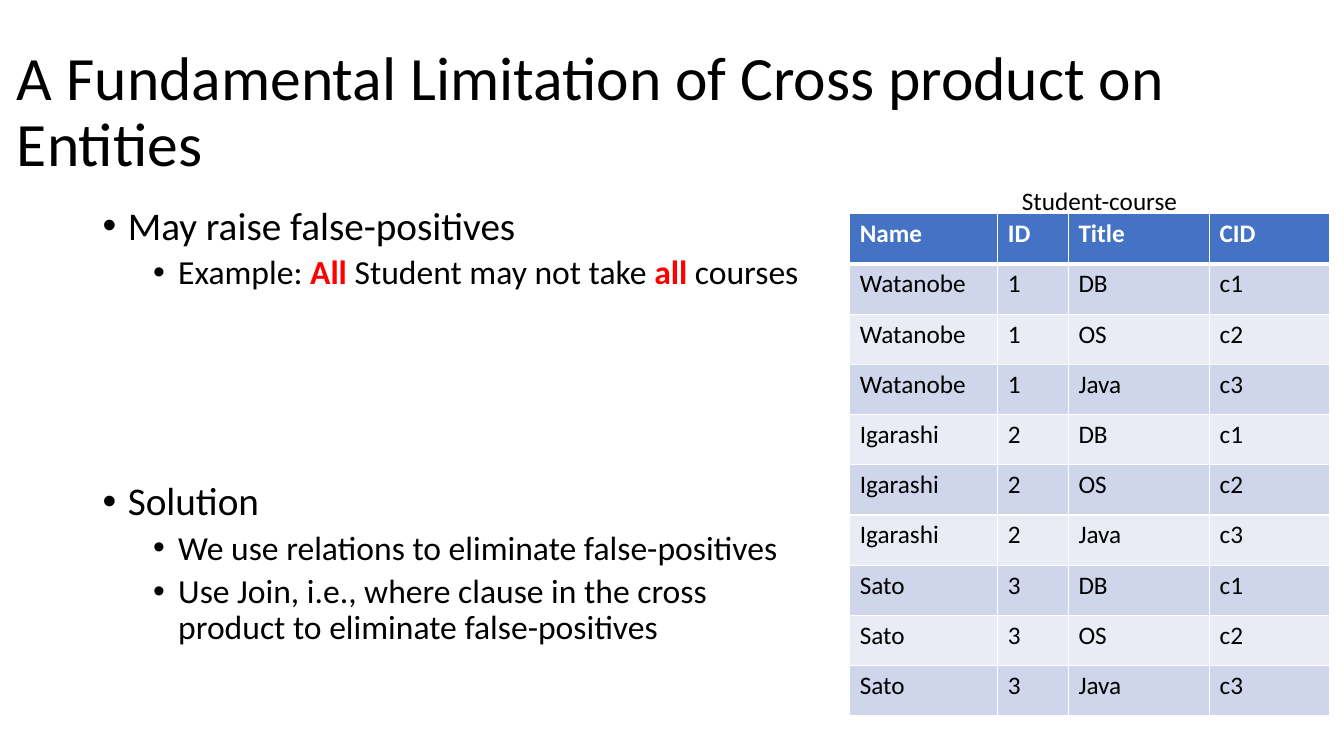
"""Build the slide on the limits of a cross product of entities."""
from dataclasses import dataclass
from itertools import product

from lxml import etree
from pptx import Presentation
from pptx import util as u
from pptx.dml import color
from pptx.enum import text
from pptx.oxml import ns


@dataclass(frozen=True)
class Theme:
    """Font, colours and type sizes of the slide."""
    font: str = "Calibri"
    ink: str = "000000"
    paper: str = "FFFFFF"
    accent: str = "FF0000"
    header: str = "4472C4"
    bands: tuple = ("CFD5EA", "E9EBF5")
    title: int = 44
    body: tuple = (28, 24)
    small: int = 18


THEME = Theme()
COLUMN_WIDTHS = (105.84, 50.4, 100.8, 85.68)
ROW_HEIGHT = 35.86
HEADERS = ("Name", "ID", "Title", "CID")
STUDENTS = (("Watanobe", "1"), ("Igarashi", "2"), ("Sato", "3"))
COURSES = (("DB", "c1"), ("OS", "c2"), ("Java", "c3"))
POINTS = (
    (0, 0, [("May raise false-positives", False)]),
    (1, 5, [("Example: ", False), ("All", True), (" Student may not take ", False),
            ("all ", True), ("courses", False)]),
    (0, 135.5, [("Solution", False)]),
    (1, 5, [("We use relations to eliminate false-positives", False)]),
    (1, 5, [("Use Join, i.e., where clause in the cross product to eliminate false-positives",
             False)]),
)


def apply(target, values):
    """Set each attribute of the target from a dict of format values."""
    for name, value in values.items():
        setattr(target, name, value)


def add_run(paragraph, wording, size, ink=THEME.ink, bold=False):
    """Append a formatted run to a paragraph."""
    run = paragraph.add_run()
    run.text = wording
    apply(run.font, {"name": THEME.font, "size": u.Pt(size), "bold": bold})
    run.font.color.rgb = color.RGBColor.from_string(ink)


def add_box(slide, left, top, width, height, **values):
    """Add a text box and return its text frame."""
    box = slide.shapes.add_textbox(*map(u.Pt, (left, top, width, height)))
    apply(box.text_frame, {"word_wrap": True, **values})
    return box.text_frame


def add_bullet(paragraph, level):
    """Give a paragraph a hanging round bullet for its level."""
    paragraph.level = level
    properties = paragraph._p.get_or_add_pPr()
    properties.set("marL", str(u.Pt(18 + 36 * level)))
    properties.set("indent", str(u.Pt(-18)))
    font = etree.SubElement(properties, ns.qn("a:buFont"))
    font.set("typeface", "Arial")
    etree.SubElement(properties, ns.qn("a:buChar")).set("char", "•")


def add_points(frame, points):
    """Fill a text frame with bulleted points."""
    for index, (level, space, runs) in enumerate(points):
        paragraph = frame.add_paragraph() if index else frame.paragraphs[0]
        add_bullet(paragraph, level)
        apply(paragraph, {"line_spacing": 0.9, "space_before": u.Pt(space)})
        for wording, stressed in runs:
            ink = THEME.accent if stressed else THEME.ink
            add_run(paragraph, wording, THEME.body[level], ink, stressed)


def add_borders(cell, row):
    """Draw the cell borders, with a heavier rule under the header."""
    properties = cell._tc.get_or_add_tcPr()
    widths = {"lnL": 1, "lnR": 1, "lnT": 3 if row == 1 else 1, "lnB": 3 if row == 0 else 1}
    for index, (side, width) in enumerate(widths.items()):
        line = etree.Element(ns.qn(f"a:{side}"), w=str(u.Pt(width)))
        fill = etree.SubElement(line, ns.qn("a:solidFill"))
        etree.SubElement(fill, ns.qn("a:srgbClr")).set("val", THEME.paper)
        properties.insert(index, line)


def add_table(slide, left, top, rows):
    """Add a table with a header row and banded body rows."""
    size = (sum(COLUMN_WIDTHS), ROW_HEIGHT * len(rows))
    frame = slide.shapes.add_table(len(rows), len(COLUMN_WIDTHS),
                                   *map(u.Pt, (left, top, *size)))
    table = frame.table
    apply(table, {"first_row": False, "horz_banding": False})
    for column, width in zip(table.columns, COLUMN_WIDTHS):
        column.width = u.Pt(width)
    for row, values in enumerate(rows):
        table.rows[row].height = u.Pt(ROW_HEIGHT)
        is_header = row == 0
        fill = THEME.header if is_header else THEME.bands[(row - 1) % 2]
        ink = THEME.paper if is_header else THEME.ink
        for cell, value in zip(table.rows[row].cells, values):
            cell.fill.solid()
            cell.fill.fore_color.rgb = color.RGBColor.from_string(fill)
            add_borders(cell, row)
            add_run(cell.text_frame.paragraphs[0], value, THEME.small, ink, is_header)


def main():
    """Build and save the presentation."""
    presentation = Presentation()
    apply(presentation, {"slide_width": u.Pt(960), "slide_height": u.Pt(540)})
    slide = presentation.slides.add_slide(presentation.slide_layouts[6])

    title = add_box(slide, 5.04, 28.8, 962.64, 104.4,
                    vertical_anchor=text.MSO_ANCHOR.MIDDLE).paragraphs[0]
    title.line_spacing = 0.9
    add_run(title, "A Fundamental Limitation of Cross product on Entities", THEME.title)

    add_points(add_box(slide, 66.24, 144, 514.08, 342.72), POINTS)

    rows = [HEADERS] + [student + course for student, course in product(STUDENTS, COURSES)]
    add_table(slide, 606.96, 152.64, rows)

    caption = add_box(slide, 722.88, 128.88, 126.72, 28.8, word_wrap=False,
                      auto_size=text.MSO_AUTO_SIZE.SHAPE_TO_FIT_TEXT)
    add_run(caption.paragraphs[0], "Student-course", THEME.small)

    presentation.save("out.pptx")


if __name__ == "__main__":
    main()
